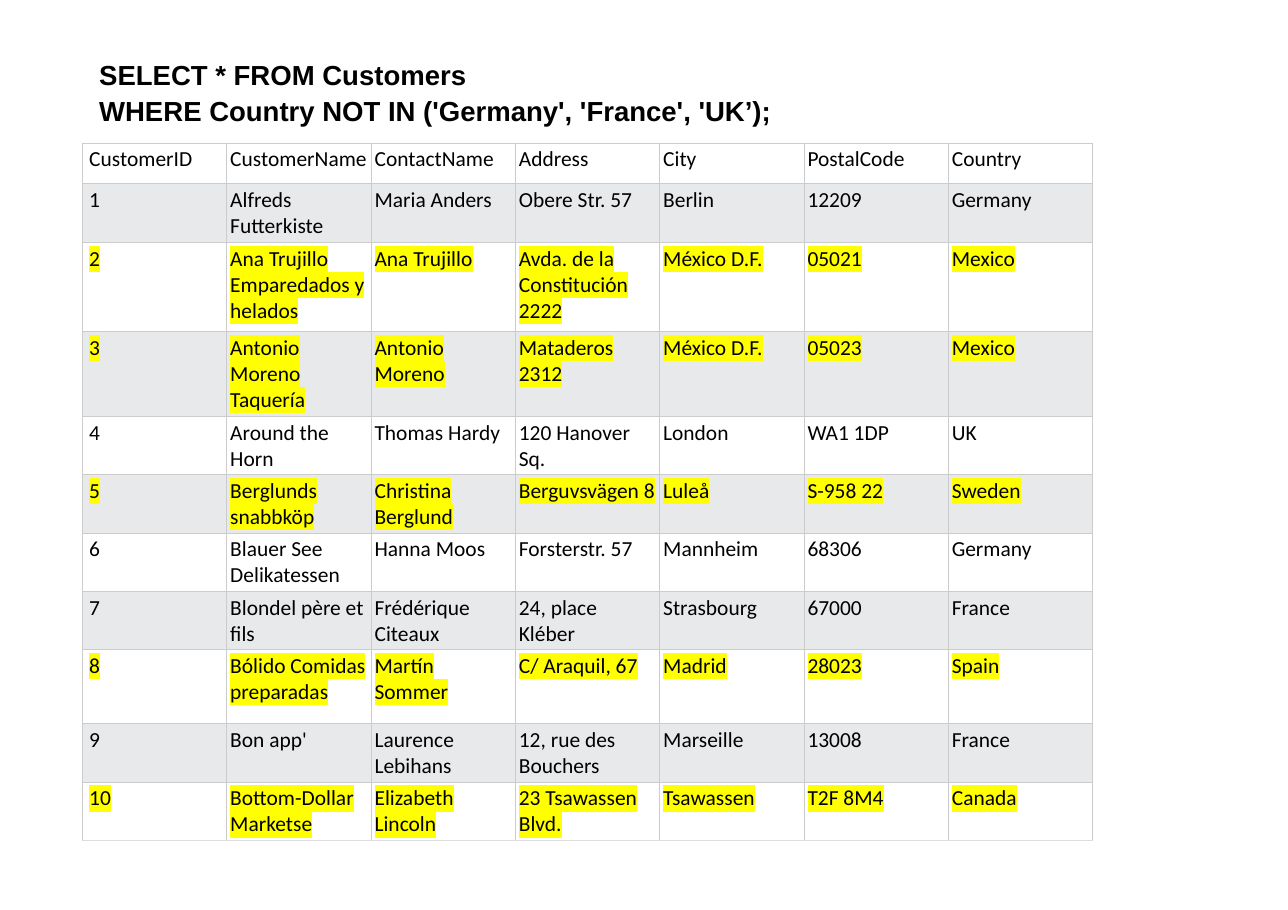
"""Build a slide showing which customers a SQL NOT IN query selects."""
from dataclasses import dataclass

from lxml.etree import SubElement
from pptx import Presentation
from pptx.dml.color import RGBColor
from pptx.enum.text import MSO_ANCHOR, MSO_AUTO_SIZE, PP_ALIGN
from pptx.oxml import parse_xml
from pptx.oxml.ns import nsdecls, qn
from pptx.util import Inches, Pt


@dataclass(frozen=True)
class Theme:
    title_font: str = "Arial"
    table_font: str = "Calibri"
    title_size: int = 18
    table_size: int = 14
    text: str = "000000"
    plain_row: str = "FFFFFF"
    banded_row: str = "E7E9EB"
    highlight: str = "FFFF00"
    border: str = "CCCCCC"
    bottom_border: str = "DDDDDD"


def write_text(paragraph, text, *, font, size, bold=False, highlight=None):
    run = paragraph.add_run()
    run.text = text
    run.font.name = font
    run.font.size = Pt(size)
    run.font.bold = bold
    run.font.color.rgb = RGBColor.from_string(theme.text)
    if highlight:
        run.font.fill._xPr.find(qn("a:solidFill")).addnext(parse_xml(
            f'<a:highlight {nsdecls("a")}><a:srgbClr val="{highlight}"/></a:highlight>'))


def set_borders(cell, bottom_color):
    properties = cell._tc.get_or_add_tcPr()
    for side in ("lnL", "lnR", "lnT", "lnB"):
        line = SubElement(properties, qn(f"a:{side}"), w=str(Pt(0.75)))
        fill = SubElement(line, qn("a:solidFill"))
        color = bottom_color if side == "lnB" else theme.border
        SubElement(fill, qn("a:srgbClr"), val=color)


theme = Theme()
query = ["SELECT * FROM Customers", "WHERE Country NOT IN ('Germany', 'France', 'UK’);"]
excluded_countries = {"Germany", "France", "UK"}
customers = [
    ("CustomerID", "CustomerName", "ContactName", "Address", "City", "PostalCode", "Country"),
    ("1", "Alfreds Futterkiste", "Maria Anders", "Obere Str. 57", "Berlin", "12209", "Germany"),
    ("2", "Ana Trujillo Emparedados y helados", "Ana Trujillo",
     "Avda. de la Constitución 2222", "México D.F.", "05021", "Mexico"),
    ("3", "Antonio Moreno Taquería", "Antonio Moreno", "Mataderos 2312", "México D.F.",
     "05023", "Mexico"),
    ("4", "Around the Horn", "Thomas Hardy", "120 Hanover Sq.", "London", "WA1 1DP", "UK"),
    ("5", "Berglunds snabbköp", "Christina Berglund", "Berguvsvägen 8", "Luleå",
     "S-958 22", "Sweden"),
    ("6", "Blauer See Delikatessen", "Hanna Moos", "Forsterstr. 57", "Mannheim",
     "68306", "Germany"),
    ("7", "Blondel père et fils", "Frédérique Citeaux", "24, place Kléber", "Strasbourg",
     "67000", "France"),
    ("8", "Bólido Comidas preparadas", "Martín Sommer", "C/ Araquil, 67", "Madrid",
     "28023", "Spain"),
    ("9", "Bon app'", "Laurence Lebihans", "12, rue des Bouchers", "Marseille",
     "13008", "France"),
    ("10", "Bottom-Dollar Marketse", "Elizabeth Lincoln", "23 Tsawassen Blvd.", "Tsawassen",
     "T2F 8M4", "Canada"),
]
row_heights = [0.37, 0.53, 0.81, 0.77, 0.53, 0.53, 0.53, 0.53, 0.67, 0.53, 0.53]

presentation = Presentation()
presentation.slide_width = Inches(11.69)
presentation.slide_height = Inches(8.26)
slide = presentation.slides.add_slide(presentation.slide_layouts[5])

title = slide.shapes.title
title.left, title.top = Inches(0.77), Inches(0.47)
title.width, title.height = Inches(7.08), Inches(0.73)
title_frame = title.text_frame
title_frame.word_wrap = True
title_frame.auto_size = MSO_AUTO_SIZE.SHAPE_TO_FIT_TEXT
title_frame.vertical_anchor = MSO_ANCHOR.TOP
for index, query_line in enumerate(query):
    paragraph = title_frame.add_paragraph() if index else title_frame.paragraphs[0]
    paragraph.alignment = PP_ALIGN.LEFT
    paragraph.line_spacing = Pt(22.1)
    paragraph.space_before = Pt(1.6)
    paragraph._p.get_or_add_pPr().set("marL", str(Inches(0.03)))
    write_text(paragraph, query_line, font=theme.title_font, size=theme.title_size, bold=True)

table = slide.shapes.add_table(
    len(customers), len(customers[0]),
    Inches(0.75), Inches(1.3), Inches(9.17), Inches(sum(row_heights))).table
table.first_row = False
table.horz_banding = False

for row_index, (customer, row_height) in enumerate(zip(customers, row_heights)):
    table.rows[row_index].height = Inches(row_height)
    selected = row_index > 0 and customer[-1] not in excluded_countries
    last_row = row_index == len(customers) - 1
    row_color = theme.banded_row if row_index % 2 else theme.plain_row
    for column_index, value in enumerate(customer):
        cell = table.cell(row_index, column_index)
        cell.margin_left = Inches(0.03 if column_index else 0.06)
        cell.margin_top = cell.margin_right = cell.margin_bottom = Inches(0.03)
        set_borders(cell, theme.bottom_border if last_row else theme.border)
        cell.fill.solid()
        cell.fill.fore_color.rgb = RGBColor.from_string(row_color)
        write_text(cell.text_frame.paragraphs[0], value, font=theme.table_font,
                   size=theme.table_size, highlight=theme.highlight if selected else None)

presentation.save("out.pptx")
